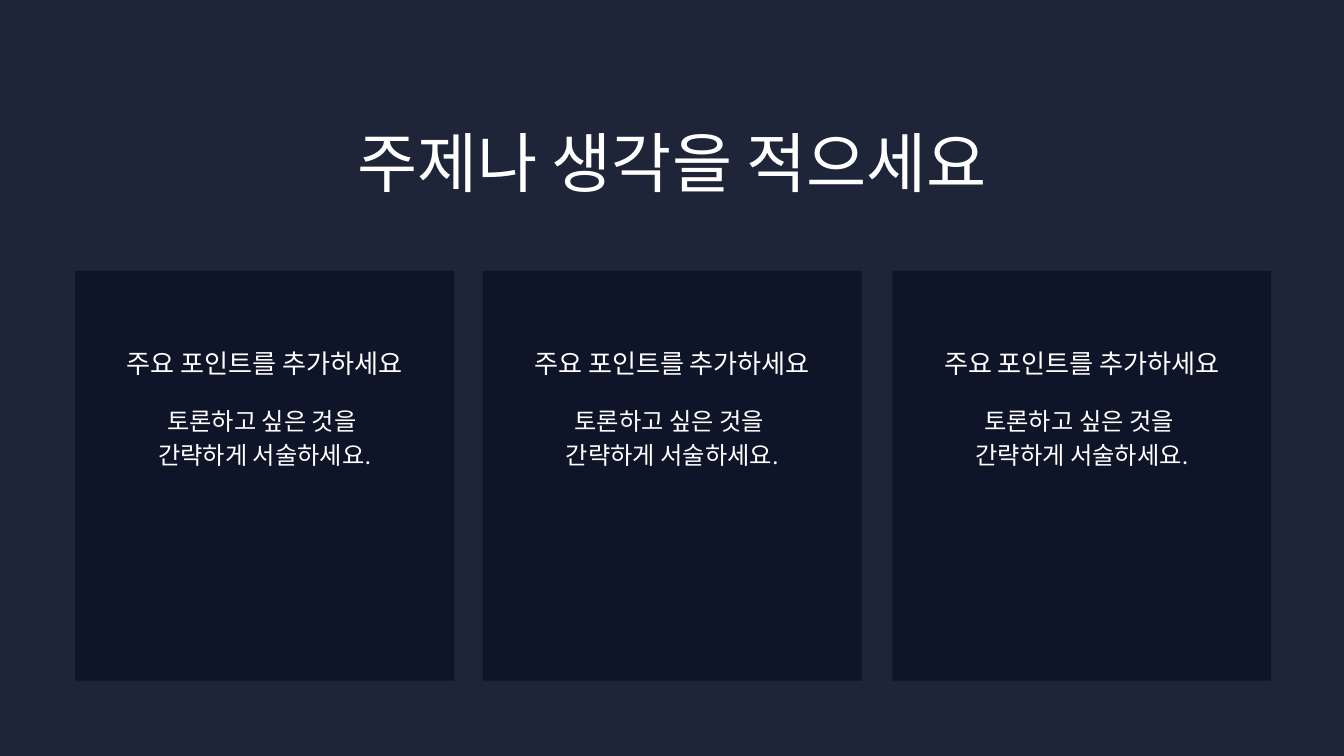
from dataclasses import dataclass

from pptx import Presentation
from pptx.dml.color import RGBColor
from pptx.enum.shapes import MSO_SHAPE
from pptx.enum.text import MSO_AUTO_SIZE, PP_ALIGN
from pptx.util import Cm, Pt


@dataclass(frozen=True)
class Theme:
    background: RGBColor = RGBColor(0x1F, 0x25, 0x39)
    card: RGBColor = RGBColor(0x0F, 0x15, 0x29)
    text: RGBColor = RGBColor(0xFF, 0xFF, 0xFF)
    font: str = "Calibri"
    title_size: float = 70
    heading_size: float = 28
    body_size: float = 26


THEME = Theme()

TITLE = "주제나 생각을 적으세요"
CARD_HEADING = "주요 포인트를 추가하세요"
CARD_BODY = "토론하고 싶은 것을 \n간략하게 서술하세요."

TITLE_BOX = (10.57, 4.62, 29.67, 2.97)
CARD_LEFTS = (2.84, 18.24, 33.73)
CARD_TOP, CARD_WIDTH, CARD_HEIGHT = 10.24, 14.33, 15.49


def add_text(slide, text, box, *, size, line_ratio=1.4):
    """Place centred text in a box given in cm, one paragraph per line."""
    shape = slide.shapes.add_textbox(*map(Cm, box))
    frame = shape.text_frame
    frame.word_wrap = True
    frame.auto_size = MSO_AUTO_SIZE.SHAPE_TO_FIT_TEXT
    frame.margin_left = frame.margin_right = 0
    frame.margin_top = frame.margin_bottom = 0
    frame.text = text
    for paragraph in frame.paragraphs:
        paragraph.alignment = PP_ALIGN.CENTER
        paragraph.line_spacing = Pt(size * line_ratio)
        for run in paragraph.runs:
            run.font.size = Pt(size)
            run.font.name = THEME.font
            run.font.color.rgb = THEME.text
    return shape


def add_card(slide, box, heading, body):
    left, top, width, height = box
    shape = slide.shapes.add_shape(MSO_SHAPE.RECTANGLE, *map(Cm, box))
    shape.shadow.inherit = False
    shape.fill.solid()
    shape.fill.fore_color.rgb = THEME.card
    shape.line.fill.background()

    padding = 1.07
    text_width = width - 2 * padding
    add_text(slide, heading, (left + padding, top + 2.69, text_width, 1.37),
             size=THEME.heading_size)
    add_text(slide, body, (left + padding, top + 4.95, text_width, 2.51),
             size=THEME.body_size)


def main():
    presentation = Presentation()
    presentation.slide_width = Cm(50.8)
    presentation.slide_height = Cm(28.58)
    slide = presentation.slides.add_slide(presentation.slide_layouts[6])
    slide.background.fill.solid()
    slide.background.fill.fore_color.rgb = THEME.background

    add_text(slide, TITLE, TITLE_BOX, size=THEME.title_size, line_ratio=1.2)
    for left in CARD_LEFTS:
        add_card(slide, (left, CARD_TOP, CARD_WIDTH, CARD_HEIGHT),
                 CARD_HEADING, CARD_BODY)

    presentation.save("out.pptx")


if __name__ == "__main__":
    main()
